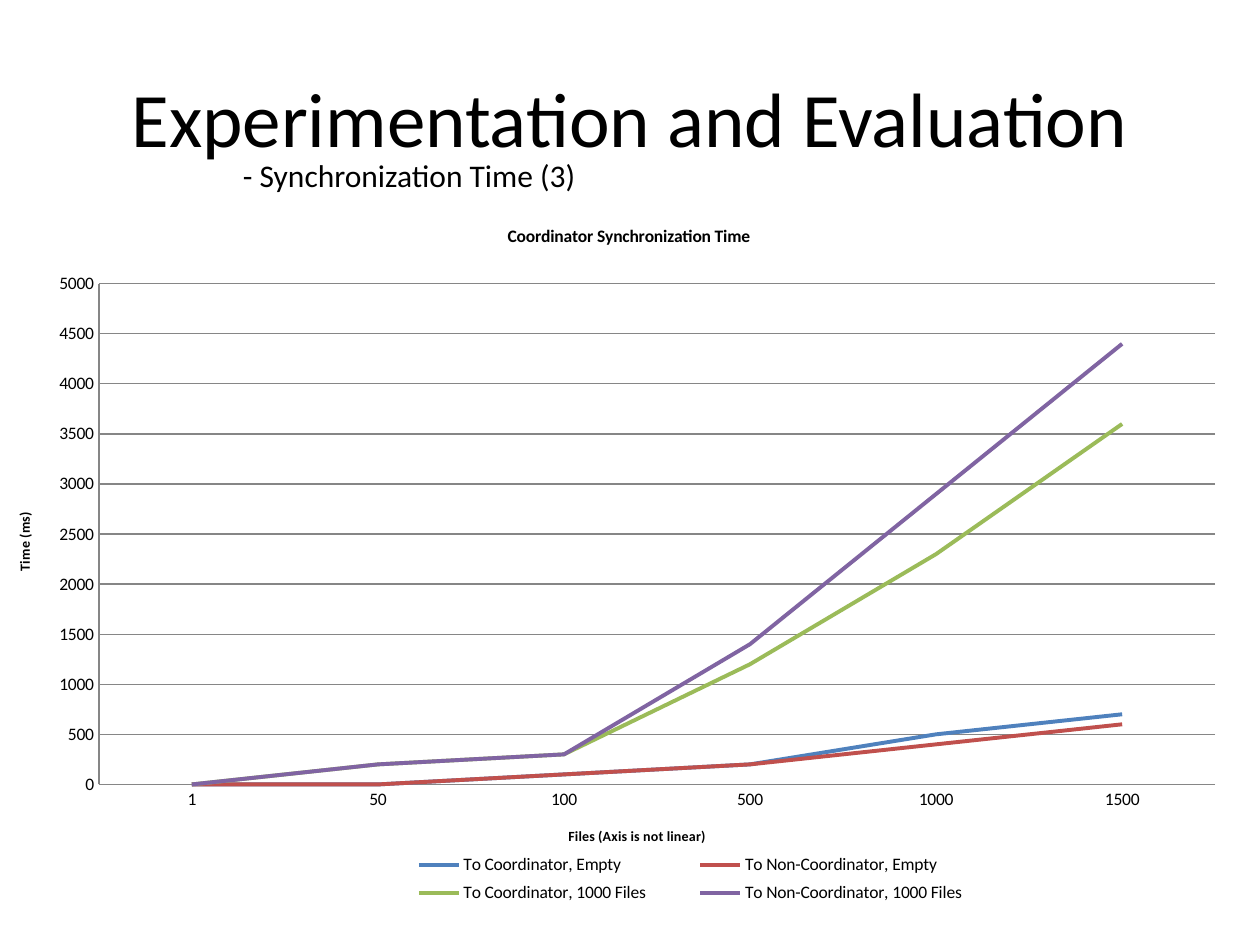
import pptx
import pptx.chart.data
import pptx.dml.color
import pptx.enum.chart
import pptx.enum.text
import pptx.oxml
import pptx.oxml.ns
import pptx.util
from pptx.util import Inches

FONT = "Calibri"
BLACK = "000000"
GRID = "868686"
CATEGORIES = ["1", "50", "100", "500", "1000", "1500"]
SERIES = [
    ("To Coordinator, Empty", (0, 0, 100, 200, 500, 700), "4F81BD"),
    ("To Non-Coordinator, Empty", (0, 0, 100, 200, 400, 600), "C0504D"),
    ("To Coordinator, 1000 Files", (0, 200, 300, 1200, 2300, 3600), "9BBB59"),
    ("To Non-Coordinator, 1000 Files", (0, 200, 300, 1400, 2900, 4400), "8064A2"),
]


def rgb(color):
    return pptx.dml.color.RGBColor.from_string(color)


def style_font(font, size, bold=False):
    font.name = FONT
    font.size = pptx.util.Pt(size)
    font.bold = bold
    font.color.rgb = rgb(BLACK)


def style_line(line, color, width):
    line.color.rgb = rgb(color)
    line.width = pptx.util.Pt(width)


def place(sp, box):
    sp.left, sp.top, sp.width, sp.height = [Inches(v) for v in box]


def set_title(s, box):
    sp = s.shapes.title
    place(sp, box)
    tf = sp.text_frame
    tf.text = "Experimentation and Evaluation"
    tf.vertical_anchor = pptx.enum.text.MSO_ANCHOR.MIDDLE
    p = tf.paragraphs[0]
    p.alignment = pptx.enum.text.PP_ALIGN.CENTER
    style_font(p.runs[0].font, 44)


def add_subtitle(s, box):
    tf = s.shapes.add_textbox(*[Inches(v) for v in box]).text_frame
    tf.word_wrap = True
    tf.auto_size = pptx.enum.text.MSO_AUTO_SIZE.SHAPE_TO_FIT_TEXT
    tf.text = "- Synchronization Time (3)"
    style_font(tf.paragraphs[0].runs[0].font, 18)


def set_chart_text(owner, text, size):
    tf = owner.text_frame
    tf.text = text
    style_font(tf.paragraphs[0].runs[0].font, size, bold=True)


def set_layout(parent, before, box, inner=False):
    for old in parent.findall(pptx.oxml.ns.qn("c:layout")):
        parent.remove(old)
    target = '<c:layoutTarget val="inner"/>' if inner else ""
    modes = "".join(f'<c:{k}Mode val="edge"/>' for k in "xy")
    sizes = "".join(f'<c:{k} val="{v}"/>' for k, v in zip("xywh", box))
    layout = pptx.oxml.parse_xml(
        f'<c:layout {pptx.oxml.ns.nsdecls("c")}><c:manualLayout>'
        f"{target}{modes}{sizes}</c:manualLayout></c:layout>"
    )
    parent.find(pptx.oxml.ns.qn(before)).addprevious(layout)


def style_axis(axis, title):
    set_chart_text(axis.axis_title, title, 8)
    axis.major_tick_mark = pptx.enum.chart.XL_TICK_MARK.NONE
    axis.minor_tick_mark = pptx.enum.chart.XL_TICK_MARK.NONE
    style_line(axis.format.line, GRID, 0.75)
    style_font(axis.tick_labels.font, 10)


def add_line_chart(s, box):
    data = pptx.chart.data.CategoryChartData()
    data.categories = CATEGORIES
    for name, values, _ in SERIES:
        data.add_series(name, values)
    chart = s.shapes.add_chart(
        pptx.enum.chart.XL_CHART_TYPE.LINE, *[Inches(v) for v in box], data
    ).chart
    style_font(chart.font, 10)
    set_chart_text(chart.chart_title, "Coordinator Synchronization Time", 10)
    chart.chart_title.include_layout = False

    style_axis(chart.category_axis, "Files (Axis is not linear)")
    axis = chart.value_axis
    style_axis(axis, "Time (ms)")
    axis.minimum_scale, axis.maximum_scale, axis.major_unit = 0, 5000, 500
    axis.has_major_gridlines = True
    style_line(axis.major_gridlines.format.line, GRID, 0.75)

    plot = chart.plots[0]
    plot.vary_by_categories = False
    for series, (_, _, color) in zip(plot.series, SERIES):
        series.smooth = False
        series.marker.style = pptx.enum.chart.XL_MARKER_STYLE.NONE
        style_line(series.format.line, color, 2.25)

    chart.has_legend = True
    legend = chart.legend
    legend.position = pptx.enum.chart.XL_LEGEND_POSITION.BOTTOM
    legend.include_layout = False
    style_font(legend.font, 10)
    c = chart.element.chart
    set_layout(c.plotArea, "c:lineChart", (0.07, 0.115, 0.906, 0.69), inner=True)
    set_layout(c.find(pptx.oxml.ns.qn("c:legend")), "c:overlay", (0.29, 0.89, 0.52, 0.09))


def main():
    prs = pptx.Presentation()
    prs.slide_width, prs.slide_height = Inches(10), Inches(7.5)
    s = prs.slides.add_slide(prs.slide_layouts.get_by_name("Title Only"))
    set_title(s, (0.5, 0.3, 9, 1.25))
    add_subtitle(s, (1.83, 1.19, 6.34, 0.4))
    add_line_chart(s, (0.1, 1.59, 9.78, 5.76))
    prs.save("out.pptx")


if __name__ == "__main__":
    main()
